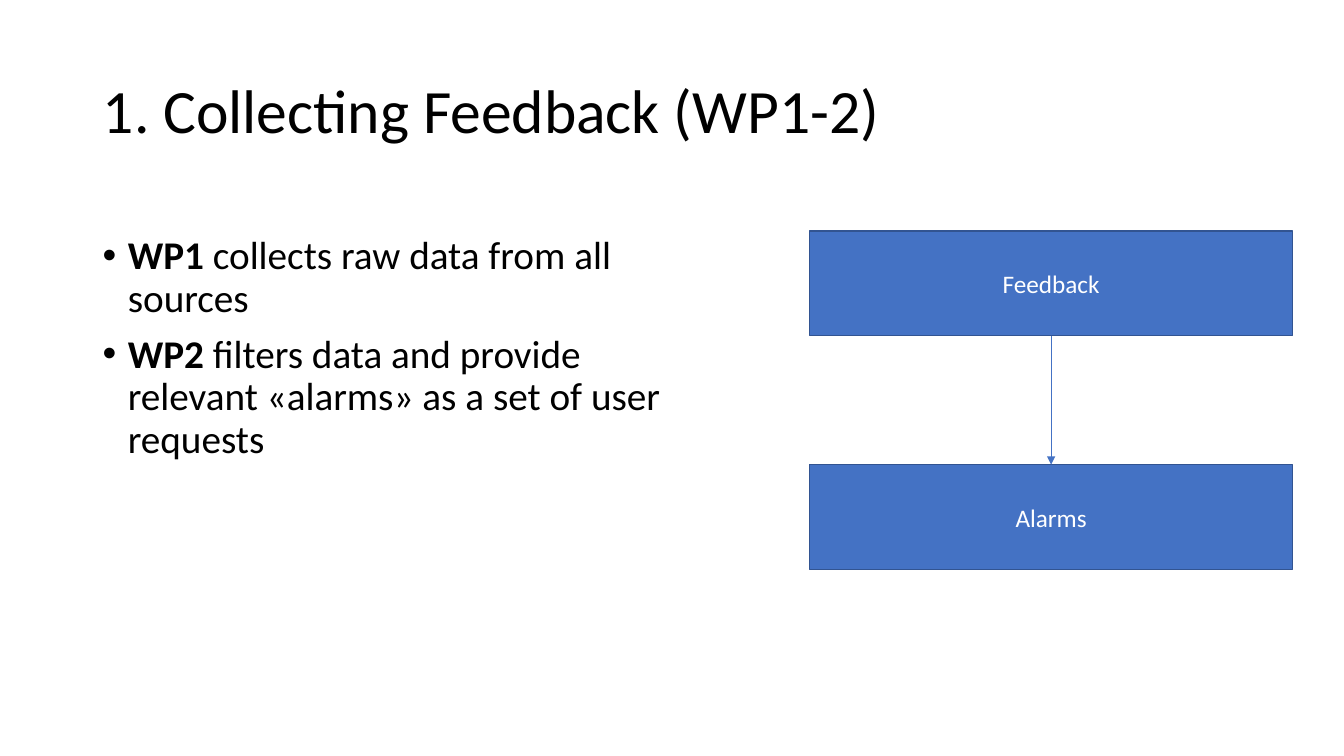
import pptx
import pptx.util
import pptx.dml.color
import pptx.enum.shapes
import pptx.enum.text
import pptx.oxml
import pptx.oxml.ns

EMU_PER_PX = 9144
FONT = "Calibri"
BLACK, WHITE, BLUE, DARK_BLUE = "000000", "FFFFFF", "4472C4", "325491"
BOX_LEFT, BOX_WIDTH, BOX_HEIGHT = 803, 479, 104


def px(length):
    return pptx.util.Emu(length * EMU_PER_PX)


def color(hex_string):
    return pptx.dml.color.RGBColor.from_string(hex_string)


def add_xml(parent, tag, **attributes):
    element = pptx.oxml.parse_xml(f"<{tag} {pptx.oxml.ns.nsdecls('a')}/>")
    for name, value in attributes.items():
        element.set(name, value)
    parent.append(element)


def format_run(run, size, hex_string, bold=False):
    run.font.name = FONT
    run.font.size = pptx.util.Pt(size)
    run.font.bold = bold
    run.font.color.rgb = color(hex_string)


def add_title(slide, text, left, top, width, height):
    title = slide.shapes.title
    title.left, title.top = px(left), px(top)
    title.width, title.height = px(width), px(height)
    frame = title.text_frame
    frame.text = text
    frame.word_wrap = True
    frame.vertical_anchor = pptx.enum.text.MSO_ANCHOR.MIDDLE
    paragraph = frame.paragraphs[0]
    paragraph.alignment = pptx.enum.text.PP_ALIGN.LEFT
    paragraph.line_spacing = 0.9
    format_run(paragraph.runs[0], 44, BLACK)


def add_bullets(slide, items, left, top, width, height):
    frame = slide.shapes.add_textbox(px(left), px(top), px(width), px(height)).text_frame
    frame.word_wrap = True
    for index, (label, description) in enumerate(items):
        paragraph = frame.add_paragraph() if index else frame.paragraphs[0]
        paragraph.line_spacing = 0.9
        paragraph.space_before = pptx.util.Pt(10)
        properties = paragraph._p.get_or_add_pPr()
        properties.set("marL", str(px(25)))
        properties.set("indent", str(px(-25)))
        add_xml(properties, "a:buFont", typeface="Arial")
        add_xml(properties, "a:buChar", char="•")
        for text, bold in ((label, True), (description, False)):
            run = paragraph.add_run()
            run.text = text
            format_run(run, 28, BLACK, bold)


def add_box(slide, text, top):
    box = slide.shapes.add_shape(
        pptx.enum.shapes.MSO_SHAPE.RECTANGLE,
        px(BOX_LEFT), px(top), px(BOX_WIDTH), px(BOX_HEIGHT),
    )
    box.shadow.inherit = False
    box.fill.solid()
    box.fill.fore_color.rgb = color(BLUE)
    box.line.color.rgb = color(DARK_BLUE)
    box.line.width = pptx.util.Pt(1)
    frame = box.text_frame
    frame.text = text
    frame.vertical_anchor = pptx.enum.text.MSO_ANCHOR.MIDDLE
    paragraph = frame.paragraphs[0]
    paragraph.alignment = pptx.enum.text.PP_ALIGN.CENTER
    format_run(paragraph.runs[0], 18, WHITE)
    return box


def add_arrow(slide, upper_box, lower_box):
    arrow = slide.shapes.add_connector(pptx.enum.shapes.MSO_CONNECTOR.STRAIGHT, 0, 0, 0, 0)
    arrow.begin_connect(upper_box, 2)
    arrow.end_connect(lower_box, 0)
    arrow.line.color.rgb = color(BLUE)
    arrow.line.width = pptx.util.Pt(0.5)
    add_xml(arrow.line._get_or_add_ln(), "a:tailEnd", type="triangle")
    add_xml(arrow._element.spPr, "a:effectLst")


def main():
    presentation = pptx.Presentation()
    presentation.slide_width, presentation.slide_height = px(1333), px(750)
    slide = presentation.slides.add_slide(presentation.slide_layouts[5])
    add_title(slide, "1. Collecting Feedback (WP1-2)", 92, 40, 1150, 145)
    add_bullets(slide, [
        ("WP1", " collects raw data from all sources"),
        ("WP2", " filters data and provide relevant «alarms» as a set of user requests"),
    ], 92, 229, 627, 447)
    feedback = add_box(slide, "Feedback", 229)
    alarms = add_box(slide, "Alarms", 461)
    add_arrow(slide, feedback, alarms)
    presentation.save("out.pptx")


if __name__ == "__main__":
    main()
